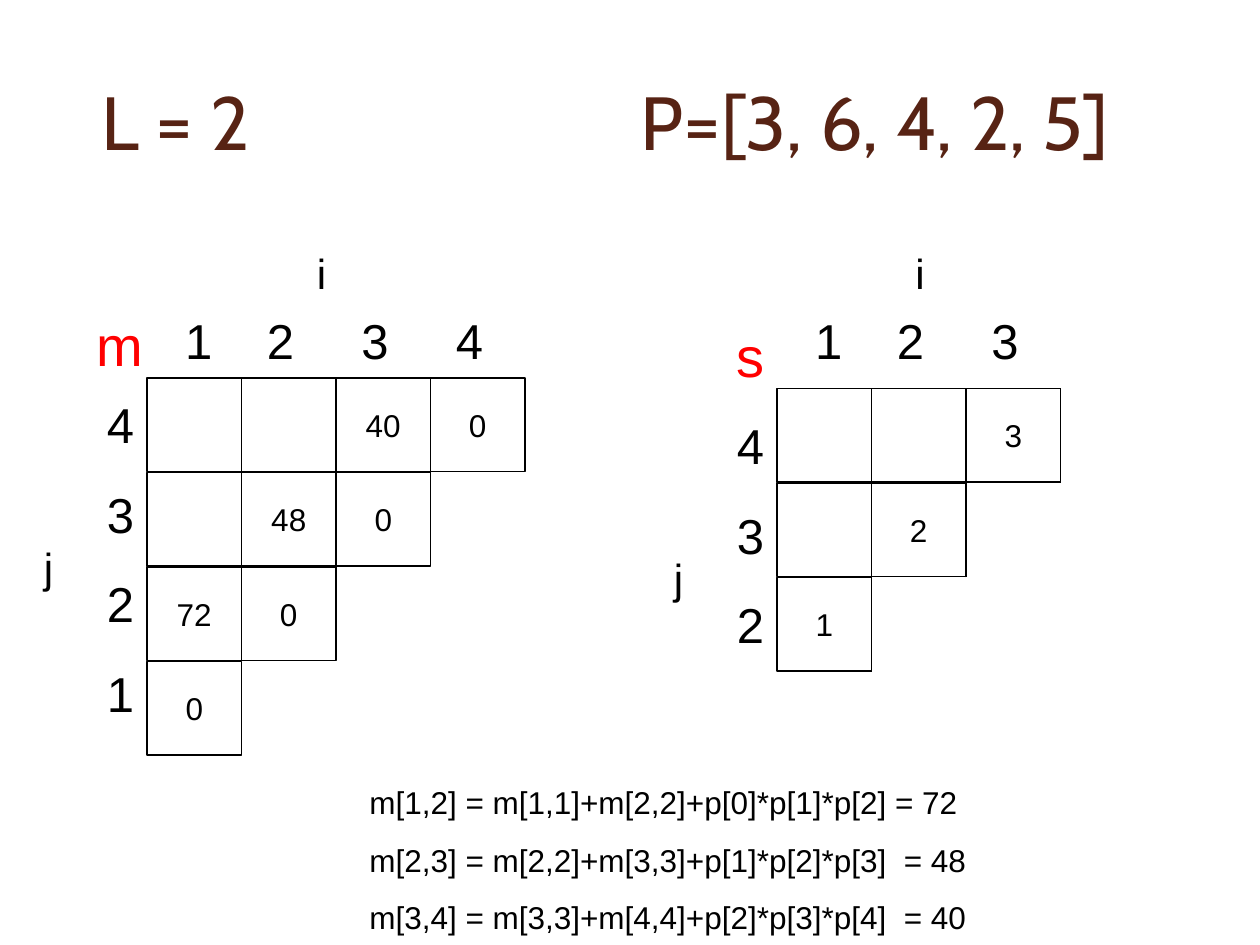
from lxml import etree
from pptx import Presentation
from pptx.dml.color import RGBColor
from pptx.enum.shapes import MSO_CONNECTOR, MSO_SHAPE
from pptx.enum.text import MSO_ANCHOR, PP_ALIGN
from pptx.oxml.ns import qn
from pptx.util import Inches, Pt

COLUMNS, ROWS = 120, 90
CELL = 9
ROW_HEIGHT = 8.9
TOP, BOTTOM = 0, 2


def color(hex_string):
    return RGBColor.from_string(hex_string)


def add_tab_stops(paragraph, stops, alignment):
    """Add tab stops, in inches from the left edge of the text area."""
    properties = paragraph._p.get_or_add_pPr()
    tab_list = etree.SubElement(properties, qn("a:tabLst"))
    for stop in stops:
        etree.SubElement(tab_list, qn("a:tab"), pos=str(Inches(stop)), algn=alignment)


class SlideBuilder:
    """Draws on one slide; lengths are columns and rows of a 120 by 90 grid."""

    font = "Arial"
    ink = "000000"
    paper = "FFFFFF"
    accent = "FF0000"
    line_width = Pt(0.75)

    def __init__(self, presentation):
        self.slide = presentation.slides.add_slide(presentation.slide_layouts[6])
        self.column = presentation.slide_width / COLUMNS
        self.row = presentation.slide_height / ROWS

    def box(self, left, top, width, height):
        return (round(left * self.column), round(top * self.row),
                round(width * self.column), round(height * self.row))

    def styled_run(self, paragraph, text, size, ink=None, font=None):
        run = paragraph.add_run()
        run.text = text
        run.font.size = Pt(size)
        run.font.name = font or self.font
        run.font.color.rgb = color(ink or self.ink)

    def text(self, place, lines, size, ink=None, font=None, stops=()):
        """Add a text box with one paragraph per line; return its text frame."""
        frame = self.slide.shapes.add_textbox(*self.box(*place)).text_frame
        frame.word_wrap = True
        for index, line in enumerate(lines):
            paragraph = frame.add_paragraph() if index else frame.paragraphs[0]
            paragraph.space_before = Pt(size * 0.625)
            if stops:
                add_tab_stops(paragraph, stops, "l")
            self.styled_run(paragraph, line, size, ink, font)
        return frame

    def table_row(self, left, top, cells):
        """Add one bar whose values are centred on its cells by tab stops."""
        bar = self.slide.shapes.add_shape(
            MSO_SHAPE.RECTANGLE, *self.box(left, top, CELL * len(cells), ROW_HEIGHT))
        bar.shadow.inherit = False
        bar.fill.solid()
        bar.fill.fore_color.rgb = color(self.paper)
        bar.line.color.rgb = color(self.ink)
        bar.line.width = self.line_width
        frame = bar.text_frame
        frame.word_wrap = True
        frame.vertical_anchor = MSO_ANCHOR.MIDDLE
        frame.margin_left = frame.margin_right = 0
        paragraph = frame.paragraphs[0]
        paragraph.alignment = PP_ALIGN.LEFT
        filled = [index for index, value in enumerate(cells) if value]
        centers = [(index + 0.5) * CELL * self.column / Inches(1) for index in filled]
        add_tab_stops(paragraph, centers, "ctr")
        self.styled_run(paragraph, "".join("\t" + cells[index] for index in filled), 18)
        return bar

    def divider(self, x, bottom, top):
        start_x, start_y, _, _ = self.box(x, bottom, 0, 0)
        _, end_y, _, _ = self.box(x, top, 0, 0)
        line = self.slide.shapes.add_connector(
            MSO_CONNECTOR.STRAIGHT, start_x, start_y, start_x, end_y)
        line.line.color.rgb = color(self.ink)
        line.line.width = self.line_width
        etree.SubElement(line._element.spPr, qn("a:effectLst"))
        return line

    def triangle(self, left, top, rows, closed):
        """Stack ever shorter rows; closed also draws dividers on the right edges."""
        bars = [self.table_row(left, top + CELL * index, cells)
                for index, cells in enumerate(rows)]
        count = len(rows)
        for column in range(1, count + closed):
            depth = count - column + closed
            line = self.divider(left + CELL * column, top + CELL * depth, top)
            if 2 * column == len(rows[depth - 1]):
                line.begin_connect(bars[depth - 1], BOTTOM)
            if 2 * column == count:
                line.end_connect(bars[0], TOP)

    def axes(self, name, name_at, i_at, j_at, columns_at, columns, rows_at, rows):
        self.text((*rows_at, 8, 8.5 * len(rows) - 1.5), rows, 28)
        header_stops = [0.12] + [0.77 + 0.75 * index for index in range(len(columns) - 1)]
        self.text((*columns_at, 11 * len(columns), 7),
                  ["\t" + "\t".join(columns)], 28, stops=header_stops)
        self.text((*j_at, 5, 6), ["j"], 24)
        self.text((*i_at, 5, 6), ["i"], 24)
        self.text((*name_at, 10, 7.7), [name], 32, self.accent)


def main():
    presentation = Presentation()
    presentation.slide_width, presentation.slide_height = Inches(10), Inches(7.5)
    builder = SlideBuilder(presentation)

    title = builder.text((7, 4, 111, 15), ["L = 2\tP=[3, 6, 4, 2, 5]"], 43,
                         "572314", "Cabin", [4.28])
    title.vertical_anchor = MSO_ANCHOR.MIDDLE
    title.margin_left = Inches(0.22)

    builder.triangle(14, 36, [["", "", "40", "0"], ["", "48", "0"], ["72", "0"], ["0"]],
                     closed=False)
    builder.axes("m", (8, 29), (29, 23), (3, 51), (15, 29), "1234", (9, 37), "4321")

    builder.triangle(74, 37, [["", "", "3"], ["", "2"], ["1"]], closed=True)
    builder.axes("s", (69, 30), (86, 23), (63, 52), (75, 29), "123", (69, 39), "432")

    builder.text((34, 74, 71, 16), [
        "m[1,2] = m[1,1]+m[2,2]+p[0]*p[1]*p[2] = 72",
        "m[2,3] = m[2,2]+m[3,3]+p[1]*p[2]*p[3]  = 48",
        "m[3,4] = m[3,3]+m[4,4]+p[2]*p[3]*p[4]  = 40",
    ], 18)
    presentation.save("out.pptx")


if __name__ == "__main__":
    main()
